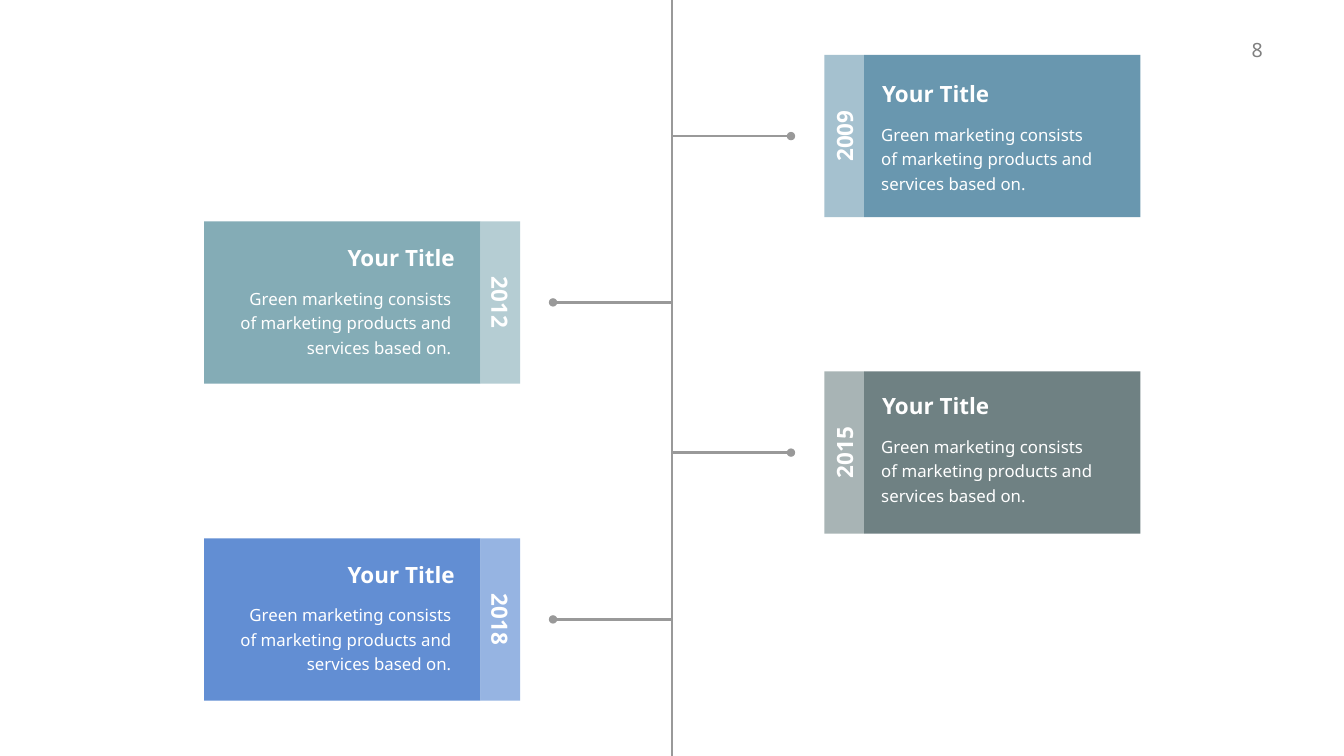
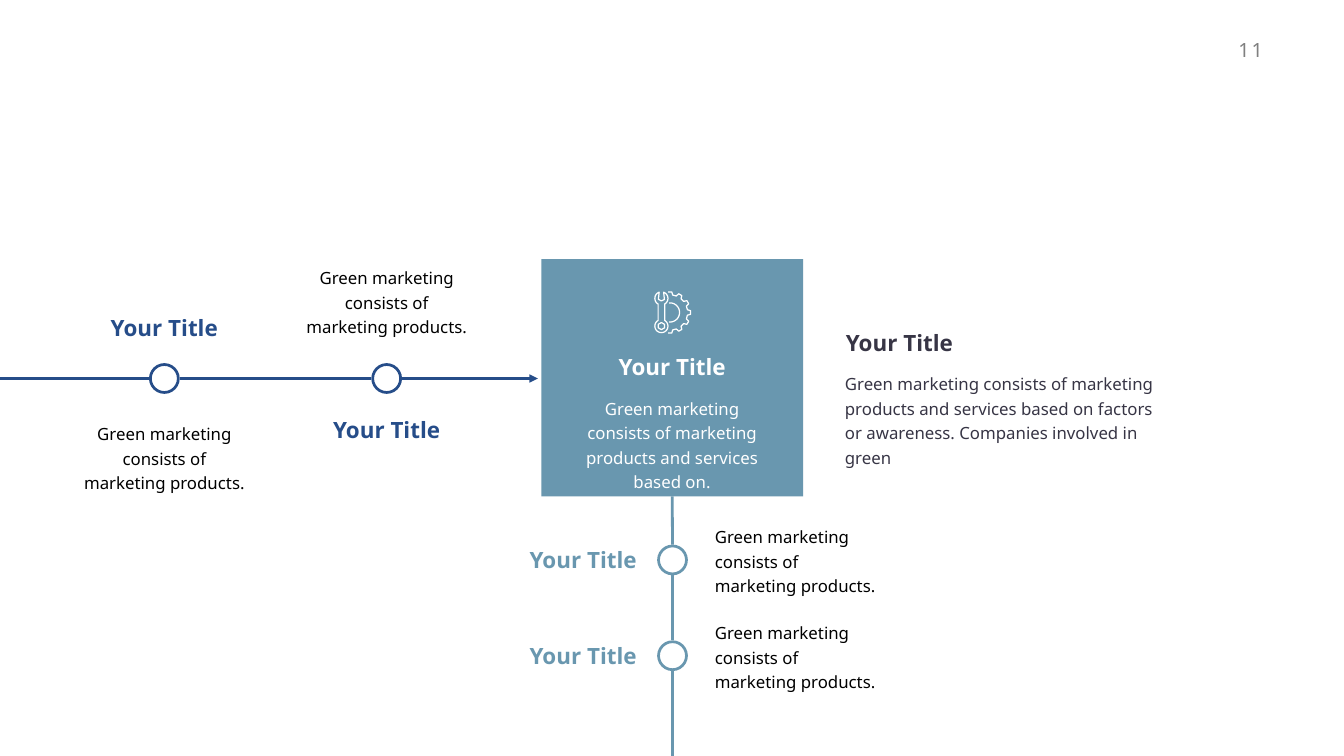
from math import cos, radians, sin

from lxml import etree
from pptx import Presentation
from pptx.dml.color import RGBColor
from pptx.enum.shapes import MSO_CONNECTOR, MSO_SHAPE
from pptx.enum.text import MSO_ANCHOR, MSO_AUTO_SIZE, PP_ALIGN
from pptx.oxml.ns import qn
from pptx.util import Pt

LEFT, CENTER, RIGHT = PP_ALIGN.LEFT, PP_ALIGN.CENTER, PP_ALIGN.RIGHT
TOP, MIDDLE, BOTTOM = MSO_ANCHOR.TOP, MSO_ANCHOR.MIDDLE, MSO_ANCHOR.BOTTOM
RECTANGLE, DONUT = MSO_SHAPE.RECTANGLE, MSO_SHAPE.DONUT
STRAIGHT = MSO_CONNECTOR.STRAIGHT
FIT_SHAPE = MSO_AUTO_SIZE.SHAPE_TO_FIT_TEXT

# Scale: 100 px to the inch
PX = 9144
SLIDE_W, SLIDE_H = 2666, 1500

# Colours
WHITE = RGBColor(0xFF, 0xFF, 0xFF)
BLACK = RGBColor(0x00, 0x00, 0x00)
INK = RGBColor(0x37, 0x35, 0x45)
NUMBER_GREY = RGBColor(0x80, 0x80, 0x80)
AXIS_GREY = RGBColor(0x99, 0x99, 0x99)
NAVY = RGBColor(0x26, 0x4D, 0x89)
STEEL = RGBColor(0x69, 0x97, 0xAF)
STEEL_LIGHT = RGBColor(0xA5, 0xC1, 0xCF)
TEAL = RGBColor(0x84, 0xAC, 0xB6)
TEAL_LIGHT = RGBColor(0xB5, 0xCD, 0xD3)
SLATE = RGBColor(0x6F, 0x81, 0x83)
SLATE_LIGHT = RGBColor(0xA8, 0xB4, 0xB5)
BLUE = RGBColor(0x62, 0x8E, 0xD3)
BLUE_LIGHT = RGBColor(0x96, 0xB4, 0xE2)

# Text styles
FONT = "Noto Sans"
HEADING = {
    "font": {"name": FONT, "size": Pt(32), "bold": True},
    "frame": {"word_wrap": False, "auto_size": FIT_SHAPE},
    "paragraph": {},
}
BODY = {
    "font": {"name": FONT, "size": Pt(24)},
    "frame": {"word_wrap": True, "auto_size": FIT_SHAPE,
              "margin_left": 24 * PX, "margin_right": 24 * PX,
              "margin_top": 12 * PX, "margin_bottom": 12 * PX},
    "paragraph": {"line_spacing": Pt(35)},
}
PAGE_NUMBER = {**HEADING, "font": {"name": FONT, "size": Pt(28)}}

# Wording and sizes that repeat
TITLE = "Your Title"
CARD_TEXT = "Green marketing consists of marketing products and services based on."
STEP_TEXT = "Green marketing consists of marketing products."
ASIDE_TEXT = ("Green marketing consists of marketing products and services "
              "based on factors or awareness. Companies involved in green")
TITLE_W, TITLE_H = 237, 64
BODY_H = 168
BODY_DROP = 73
RING = 61


def set_all(target, values):
    for name, value in values.items():
        setattr(target, name, value)


def emu(*lengths):
    return [round(length * PX) for length in lengths]


def add_text(slide, box, text, style, color, align=LEFT, anchor=TOP, rotation=0):
    text_box = slide.shapes.add_textbox(*emu(*box))
    text_box.rotation = rotation
    frame = text_box.text_frame
    set_all(frame, {**style["frame"], "vertical_anchor": anchor})
    paragraph = frame.paragraphs[0]
    set_all(paragraph, {**style["paragraph"], "alignment": align})
    run = paragraph.add_run()
    run.text = text
    set_all(run.font, style["font"])
    run.font.color.rgb = color
    return run


def add_title(slide, x, y, color, align=LEFT, anchor=MIDDLE):
    add_text(slide, (x, y, TITLE_W, TITLE_H), TITLE, HEADING, color, align, anchor)


def add_body(slide, x, y, width, text, color, align=LEFT, anchor=TOP):
    add_text(slide, (x, y, width, BODY_H), text, BODY, color, align, anchor)


def add_filled(slide, preset, box, color):
    shape = slide.shapes.add_shape(preset, *emu(*box))
    shape.shadow.inherit = False
    shape.fill.solid()
    shape.fill.fore_color.rgb = color
    shape.line.fill.background()
    return shape


def add_line(slide, start, end, color, tail=None):
    line = slide.shapes.add_connector(STRAIGHT, *emu(*start, *end))
    line.line.color.rgb = color
    line.line.width = Pt(4)
    if tail:
        etree.SubElement(line.line._get_or_add_ln(), qn("a:tailEnd"), type=tail)
    etree.SubElement(line._element.spPr, qn("a:effectLst"))
    return line


def add_page(deck, number):
    """Blank slide with the shared page number."""
    slide = deck.slides.add_slide(deck.slide_layouts[6])
    run = add_text(slide, (2433, 71, 82, 57), number, PAGE_NUMBER, NUMBER_GREY, RIGHT)
    run._r.get_or_add_rPr().set("spc", "300")
    return slide


# Slide with year cards on both sides of a vertical axis
AXIS_X = 1333
BRANCH = 236
CARD_W, CARD_H, TAB_W = 548, 322, 79
# year, on the right, card top, title offset, card colour, tab colour
CARDS = [
    ("2009", True, 109, 44, STEEL, STEEL_LIGHT),
    ("2012", False, 439, 40, TEAL, TEAL_LIGHT),
    ("2015", True, 737, 35, SLATE, SLATE_LIGHT),
    ("2018", False, 1068, 39, BLUE, BLUE_LIGHT),
]


def year_card(slide, year, on_right, top, title_offset, color, tab_color):
    if on_right:
        tab_x, card_x, title_dx, body_dx = 1635, 1714, 26, 10
        align, rotation, branch_x = LEFT, 270, AXIS_X + BRANCH
    else:
        tab_x, card_x, title_dx, body_dx = 953, 405, 270, 39
        align, rotation, branch_x = RIGHT, 90, AXIS_X - BRANCH
    middle = top + CARD_H // 2

    add_line(slide, (AXIS_X, middle), (branch_x, middle), AXIS_GREY, "oval")
    add_filled(slide, RECTANGLE, (tab_x, top, TAB_W, CARD_H), tab_color)
    add_filled(slide, RECTANGLE, (card_x, top, CARD_W, CARD_H), color)

    title_y = top + title_offset
    add_title(slide, card_x + title_dx, title_y, WHITE, align)
    add_body(slide, card_x + body_dx, title_y + BODY_DROP, 475, CARD_TEXT, WHITE, align)

    year_w = 123
    year_box = (tab_x + (TAB_W - year_w) / 2, middle - TITLE_H / 2, year_w, TITLE_H)
    add_text(slide, year_box, year, HEADING, WHITE, CENTER, MIDDLE, rotation)


def year_slide(deck):
    slide = add_page(deck, "8")
    add_line(slide, (AXIS_X, 0), (AXIS_X, SLIDE_H), AXIS_GREY)
    for card in CARDS:
        year_card(slide, *card)


# Slide with two rows of steps meeting at a central panel
STEP_W = 370
ROW_Y, ROW_CENTERS = 751, (326, 767)
COLUMN_X, COLUMN_CENTERS = 1334, (1111, 1301)


def add_ring(slide, cx, cy, color):
    ring = add_filled(slide, DONUT, (cx - RING / 2, cy - RING / 2, RING, RING), color)
    ring.adjustments[0] = 0.09


def row_step(slide, cx, title_above):
    add_ring(slide, cx, ROW_Y, NAVY)
    gap = 70

    def place(height, above):
        return (ROW_Y - gap - height, BOTTOM) if above else (ROW_Y + gap, TOP)

    title_y, title_anchor = place(TITLE_H, title_above)
    body_y, body_anchor = place(BODY_H, not title_above)
    add_title(slide, cx - TITLE_W / 2, title_y, NAVY, CENTER, title_anchor)
    add_body(slide, cx - STEP_W / 2, body_y, STEP_W, STEP_TEXT, BLACK, CENTER, body_anchor)


def column_step(slide, cy):
    add_ring(slide, COLUMN_X, cy, STEEL)
    add_title(slide, COLUMN_X - 298, cy - TITLE_H / 2, STEEL, RIGHT, TOP)
    add_body(slide, COLUMN_X + 60, cy - BODY_H / 2, STEP_W, STEP_TEXT, BLACK, LEFT, BOTTOM)


def arc(cx, cy, radius, start, end, step=10):
    """Points on a circle; degrees run clockwise from the right."""
    turn = step if end > start else -step
    return [(cx + radius * cos(radians(a)), cy + radius * sin(radians(a)))
            for a in range(start, end + turn // step, turn)]


def add_outline(slide, x, y, points, close):
    points = [tuple(emu(x + px, y + py)) for px, py in points]
    builder = slide.shapes.build_freeform(*points[0], scale=1.0)
    builder.add_line_segments(points[1:], close=close)
    outline = builder.convert_to_shape()
    outline.shadow.inherit = False
    outline.fill.background()
    outline.line.color.rgb = WHITE
    outline.line.width = Pt(1.75)


def tool_icon(slide, x, y):
    """Half gear beside a wrench, in a 74 by 85 px box."""
    hub_x, hub_y = 32, 42
    teeth = []
    for tooth in range(-90, 91, 30):
        for radius, turn in ((35, -9), (41, -5), (41, 5), (35, 9)):
            teeth += arc(hub_x, hub_y, radius, tooth + turn, tooth + turn)
    gear = [point for point in teeth if point[0] > hub_x - 5]
    wrench = (arc(15, 14, 13, 250, 120) + arc(15, 69, 13, 240, -60)
              + arc(15, 14, 13, 60, -70) + [(21, 16), (15, 19), (9, 16)])
    for points, close in (
        (gear, False),
        (arc(hub_x, hub_y, 19, -95, 95), False),
        (wrench, True),
        (arc(15, 69, 7, 30, 330, 60), True),
    ):
        add_outline(slide, x, y, points, close)


def central_panel(slide, x, y, width, height):
    panel = add_filled(slide, RECTANGLE, (x, y, width, height), STEEL)
    add_body(slide, x + 43, y + 256, 432, CARD_TEXT, WHITE, CENTER)
    add_title(slide, x + (width - TITLE_W) / 2, y + 182, WHITE, CENTER)
    tool_icon(slide, x + 223, y + 64)
    return panel


def steps_slide(deck):
    slide = add_page(deck, "11")
    panel = central_panel(slide, 1074, 514, 519, 471)

    # Axis pieces run between the rings
    half = RING / 2
    row_starts = [0] + [cx + half for cx in ROW_CENTERS]
    row_ends = [cx - half for cx in ROW_CENTERS] + [1067]
    for start, end, tail in zip(row_starts, row_ends, (None, None, "triangle")):
        add_line(slide, (start, ROW_Y), (end, ROW_Y), NAVY, tail)

    column_starts = [985] + [cy + half for cy in COLUMN_CENTERS]
    column_ends = [cy - half for cy in COLUMN_CENTERS] + [SLIDE_H]
    stems = [add_line(slide, (COLUMN_X, start), (COLUMN_X, end), STEEL)
             for start, end in zip(column_starts, column_ends)]
    stems[0].begin_connect(panel, 2)

    for cx, title_above in zip(ROW_CENTERS, (True, False)):
        row_step(slide, cx, title_above)
    for cy in COLUMN_CENTERS:
        column_step(slide, cy)

    # Aside to the right of the panel
    add_title(slide, 1668, 648, INK)
    add_body(slide, 1652, 648 + BODY_DROP, 686, ASIDE_TEXT, INK)


def main():
    deck = Presentation()
    deck.slide_width, deck.slide_height = emu(SLIDE_W, SLIDE_H)
    year_slide(deck)
    steps_slide(deck)
    deck.save("out.pptx")


if __name__ == "__main__":
    main()
